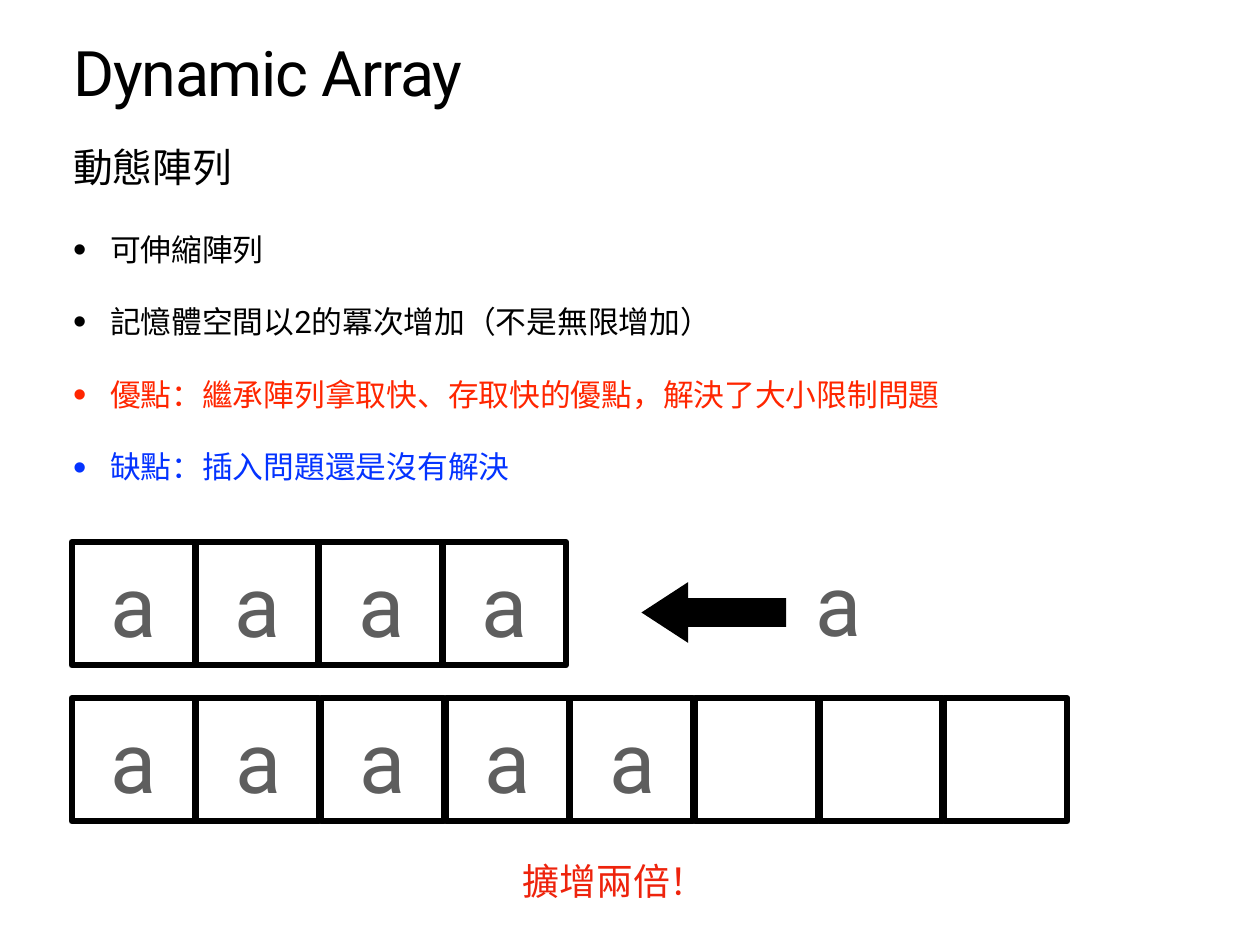
from dataclasses import dataclass

from lxml.etree import SubElement
from pptx import Presentation
from pptx.dml.color import RGBColor as Rgb
from pptx.enum.shapes import MSO_SHAPE as Shape
from pptx.enum.text import MSO_ANCHOR as Anchor, MSO_AUTO_SIZE as AutoSize, PP_ALIGN as Align
from pptx.oxml.ns import qn
from pptx.util import Pt


@dataclass(frozen=True)
class Theme:
    font: str = "Roboto"
    black: Rgb = Rgb(0, 0, 0)
    pro: Rgb = Rgb(0xFF, 0x26, 0x00)
    con: Rgb = Rgb(0x04, 0x33, 0xFF)
    element: Rgb = Rgb(0x5E, 0x5E, 0x5E)
    caption: Rgb = Rgb(0xEE, 0x23, 0x0C)
    title_size: float = 51
    subtitle_size: float = 32.3
    bullet_size: float = 25
    element_size: float = 69
    caption_size: float = 30
    inset: float = 4.5
    border: float = 5


THEME = Theme()
CELL = 100
ELEMENT = "a"
FEATURES = [
    ("可伸縮陣列", THEME.black),
    ("記憶體空間以2的冪次增加（不是無限增加）", THEME.black),
    ("優點：繼承陣列拿取快、存取快的優點，解決了大小限制問題", THEME.pro),
    ("缺點：插入問題還是沒有解決", THEME.con),
]


def place(part, box):
    part.left, part.top, part.width, part.height = (Pt(length) for length in box)


def set_frame(frame, anchor, wrap, auto_size):
    frame.margin_left = frame.margin_right = Pt(THEME.inset)
    frame.margin_top = frame.margin_bottom = Pt(THEME.inset)
    frame.vertical_anchor = anchor
    frame.word_wrap = wrap
    frame.auto_size = auto_size


def style(paragraph, size, color):
    for run in paragraph.runs:
        run.font.name = THEME.font
        run.font.size = Pt(size)
        run.font.color.rgb = color
        # East Asian glyphs follow the same font
        SubElement(run.font._element, qn("a:ea"), typeface=THEME.font)


def set_bullet(paragraph, char=None):
    properties = paragraph._p.get_or_add_pPr()
    indent = Pt(30) if char else 0
    properties.set("marL", str(indent))
    properties.set("indent", str(-indent))
    if char:
        SubElement(properties, qn("a:buSzPct"), val="123000")
        SubElement(properties, qn("a:buChar"), char=char)
    else:
        SubElement(properties, qn("a:buNone"))


def fill_placeholder(placeholder, box, text):
    place(placeholder, box)
    frame = placeholder.text_frame
    set_frame(frame, Anchor.TOP, True, AutoSize.NONE)
    frame.text = text
    return frame.paragraphs


def add_heading(title, subtitle, box):
    left, top, width, _ = box
    name = fill_placeholder(title, (left, top, width, 80), "Dynamic Array")[0]
    name.alignment = Align.LEFT
    name.line_spacing = 0.8
    style(name, THEME.title_size, THEME.black)
    name.runs[0].font._element.set("spc", "-100")

    translation = fill_placeholder(subtitle, (left, top + 77, width, 52.6), "動態陣列")[0]
    translation.space_before = Pt(0)
    set_bullet(translation)
    style(translation, THEME.subtitle_size, THEME.black)


def add_features(body, box):
    lines = fill_placeholder(body, box, "\n".join(text for text, _ in FEATURES))
    for line, (_, color) in zip(lines, FEATURES):
        line.line_spacing = 0.9
        line.space_before = Pt(32)
        set_bullet(line, "•")
        style(line, THEME.bullet_size, color)


def add_label(slide, box, text, size, color):
    label = slide.shapes.add_textbox(*(Pt(length) for length in box))
    set_frame(label.text_frame, Anchor.MIDDLE, False, AutoSize.SHAPE_TO_FIT_TEXT)
    label.text_frame.text = text
    paragraph = label.text_frame.paragraphs[0]
    paragraph.alignment = Align.CENTER
    style(paragraph, size, color)


def add_element(slide, left, top):
    add_label(slide, (left, top, 46, 104), ELEMENT, THEME.element_size, THEME.element)


def add_array(slide, box, capacity, used):
    left, top, width, height = box
    pitch = (width - CELL) / (capacity - 1)
    for index in range(capacity):
        cell_left = left + index * pitch
        cell = slide.shapes.add_shape(
            Shape.RECTANGLE, Pt(cell_left), Pt(top), Pt(CELL), Pt(height))
        cell.shadow.inherit = False
        cell.fill.background()
        cell.line.color.rgb = THEME.black
        cell.line.width = Pt(THEME.border)
        if index < used:
            add_element(slide, cell_left + 27, top - 2)


def add_insertion(slide, box):
    left, top, width, height = box
    arrow = slide.shapes.add_shape(
        Shape.RIGHT_ARROW, Pt(left), Pt(top + 35), Pt(117.5), Pt(49.5))
    arrow.rotation = 180
    arrow.adjustments[0], arrow.adjustments[1] = 0.475, 0.768
    arrow.shadow.inherit = False
    arrow.fill.solid()
    arrow.fill.fore_color.rgb = THEME.black
    arrow.line.fill.background()
    add_element(slide, left + width - 46, top)


def build_dynamic_array(deck):
    slide = deck.slides.add_slide(deck.slide_layouts[3])
    title, subtitle, body = slide.placeholders
    # Heading and list
    add_heading(title, subtitle, (55, 34.5, 914, 130))
    add_features(body, (55, 186, 914, 230))
    # Full array, new element and doubled array
    add_array(slide, (58.3, 440.6, 401.7, CELL), capacity=4, used=4)
    add_insertion(slide, (521.3, 438, 182.8, 104))
    add_array(slide, (58.3, 567.4, 809, CELL), capacity=8, used=5)
    # Caption
    add_label(slide, (420, 691, 159, 50), "擴增兩倍！", THEME.caption_size, THEME.caption)


deck = Presentation()
deck.slide_width, deck.slide_height = Pt(1024), Pt(768)
build_dynamic_array(deck)
deck.save("out.pptx")
